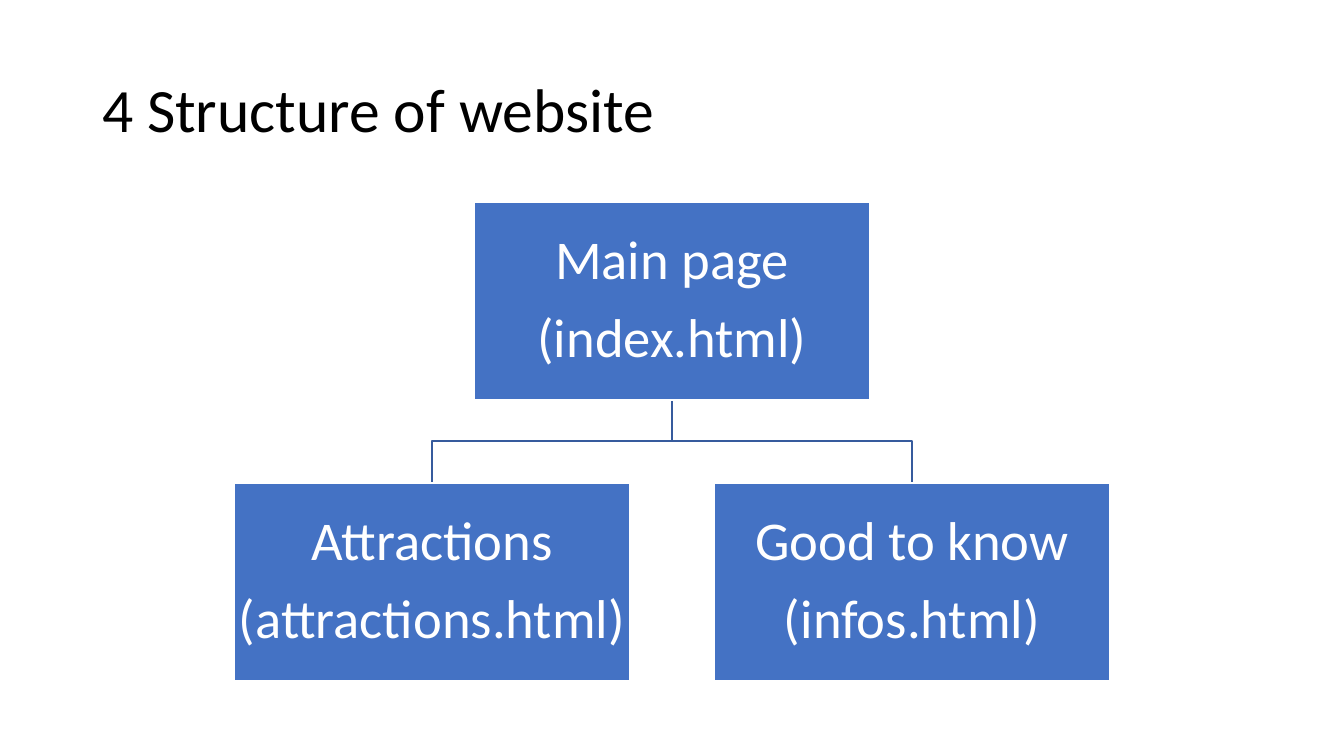
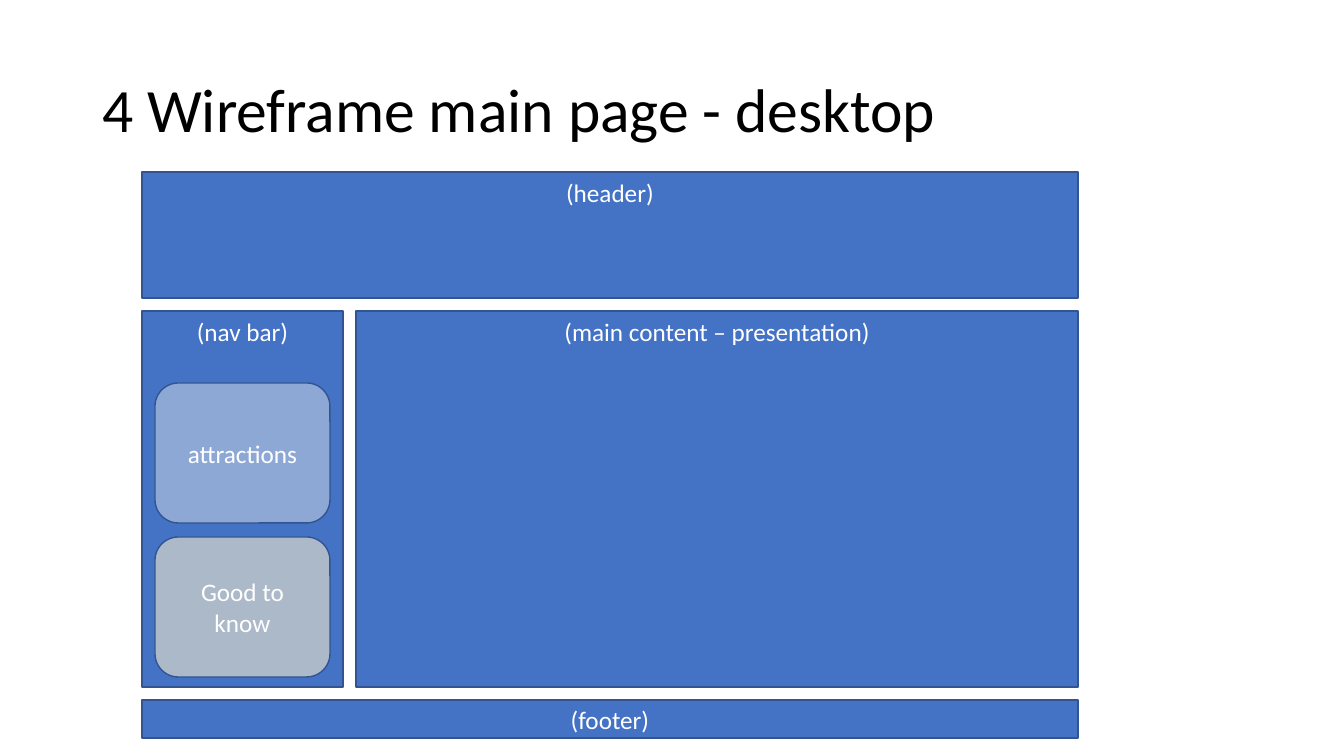
"""Build two slides: a website structure chart and a desktop wireframe."""

from dataclasses import dataclass
from typing import Any

from lxml import etree
from pptx import Presentation
from pptx.dml.color import RGBColor
from pptx.enum.shapes import MSO_SHAPE
from pptx.enum.text import MSO_ANCHOR, MSO_AUTO_SIZE, PP_ALIGN
from pptx.oxml.ns import qn
from pptx.util import Pt

RECTANGLE = MSO_SHAPE.RECTANGLE
ROUNDED = MSO_SHAPE.ROUNDED_RECTANGLE
TOP, MIDDLE = MSO_ANCHOR.TOP, MSO_ANCHOR.MIDDLE
LEFT, CENTER = PP_ALIGN.LEFT, PP_ALIGN.CENTER
NO_AUTOFIT = MSO_AUTO_SIZE.NONE
EMU_PER_PIXEL = 914400 / 100.8
TITLE_ONLY = 5


@dataclass(frozen=True)
class Theme:
    """Colours, font and type sizes of the deck."""

    font: str = "Calibri"
    ink: str = "000000"
    paper: str = "FFFFFF"
    blue: str = "4472C4"
    outline: str = "325491"
    link: str = "365B9D"
    light_gray: str = "EDEDED"
    cream: str = "FFF2CC"
    title_size: int = 44
    node_size: int = 39
    label_size: int = 18
    node_gap: float = 13.65
    tight: float = 0.9
    line_width: int = 1


@dataclass(frozen=True)
class Box:
    """A rectangle in whole pixels."""

    left: int
    top: int
    width: int
    height: int

    @property
    def right(self) -> int:
        """Return the right edge."""
        return self.left + self.width

    @property
    def bottom(self) -> int:
        """Return the lower edge."""
        return self.top + self.height

    @property
    def center(self) -> int:
        """Return the horizontal middle."""
        return self.left + self.width // 2


@dataclass(frozen=True)
class Node:
    """A page of the website in the structure chart."""

    name: str
    file: str
    box: Box


@dataclass(frozen=True)
class Region:
    """A labelled area of the wireframe."""

    label: str
    box: Box
    anchor: MSO_ANCHOR = TOP
    shape: MSO_SHAPE = RECTANGLE
    fill: str = "4472C4"
    opacity: int = 100


THEME = Theme()
TITLE_BOX = Box(92, 40, 1159, 146)

NODE_WIDTH, NODE_HEIGHT = 396, 198
ROOT_TOP, CHILD_TOP = 202, 483
CHART_CENTER, CHILD_OFFSET = 672, 240
NODE_INSET = 3

GAP = 13
HEADER = Box(142, 172, 936, 126)
NAV = Box(HEADER.left, HEADER.bottom + GAP, 201, 376)
MAIN_LEFT = NAV.right + GAP
MAIN = Box(MAIN_LEFT, NAV.top, HEADER.right - MAIN_LEFT, NAV.height)
FOOTER = Box(HEADER.left, NAV.bottom + GAP, HEADER.width, 38)
BUTTON_TOP, BUTTON_HEIGHT, BUTTON_GAP = 383, 140, 14


def px(pixels: int) -> int:
    """Turn pixels into EMU."""
    return round(pixels * EMU_PER_PIXEL)


def color(value: str) -> RGBColor:
    """Turn a hex string into a colour."""
    return RGBColor.from_string(value)


def node_box(center: int, top: int) -> Box:
    """Return the box of a chart node around a centre line."""
    return Box(center - NODE_WIDTH // 2, top, NODE_WIDTH, NODE_HEIGHT)


def button_box(row: int) -> Box:
    """Return the box of a button in the navigation bar."""
    top = BUTTON_TOP + row * (BUTTON_HEIGHT + BUTTON_GAP)
    return Box(NAV.left + GAP, top, NAV.width - 2 * GAP, BUTTON_HEIGHT)


ROOT = Node("Main page", "(index.html)", node_box(CHART_CENTER, ROOT_TOP))
CHILDREN = (
    Node("Attractions", "(attractions.html)",
         node_box(CHART_CENTER - CHILD_OFFSET, CHILD_TOP)),
    Node("Good to know", "(infos.html)",
         node_box(CHART_CENTER + CHILD_OFFSET, CHILD_TOP)),
)
REGIONS = (
    Region("(header)", HEADER),
    Region("(nav bar)", NAV),
    Region("(footer)", FOOTER, MIDDLE),
    Region("(main content – presentation)", MAIN),
    Region("attractions", button_box(0), MIDDLE, ROUNDED, THEME.light_gray, 44),
    Region("Good to know", button_box(1), MIDDLE, ROUNDED, THEME.cream, 56),
)


def style_paragraph(para: Any, size: int, ink: str, align: PP_ALIGN) -> None:
    """Set the font and alignment of a paragraph."""
    para.alignment = align
    para.font.name = THEME.font
    para.font.size = Pt(size)
    para.font.color.rgb = color(ink)


def style_line(shape: Any, ink: str) -> None:
    """Set the outline of a shape and drop its shadow."""
    shape.shadow.inherit = False
    shape.line.color.rgb = color(ink)
    shape.line.width = Pt(THEME.line_width)


def set_opacity(shape: Any, percent: int) -> None:
    """Make the solid fill of a shape partly transparent."""
    fill_color = shape.element.spPr.find(f"{qn('a:solidFill')}/{qn('a:srgbClr')}")
    etree.SubElement(fill_color, qn("a:alpha")).set("val", str(percent * 1000))


def add_page(deck: Any, title: str) -> Any:
    """Add a slide with its formatted title."""
    page = deck.slides.add_slide(deck.slide_layouts[TITLE_ONLY])
    holder = page.shapes.title
    holder.left, holder.top = px(TITLE_BOX.left), px(TITLE_BOX.top)
    holder.width, holder.height = px(TITLE_BOX.width), px(TITLE_BOX.height)
    frame = holder.text_frame
    frame.text = title
    frame.vertical_anchor = MIDDLE
    frame.auto_size = NO_AUTOFIT
    para = frame.paragraphs[0]
    style_paragraph(para, THEME.title_size, THEME.ink, LEFT)
    para.line_spacing = THEME.tight
    return page


def add_block(page: Any, kind: MSO_SHAPE, box: Box, fill: str, outline: str,
              text: str, size: int, anchor: MSO_ANCHOR) -> Any:
    """Add a filled shape with centred white text."""
    shape = page.shapes.add_shape(
        kind, px(box.left), px(box.top), px(box.width), px(box.height))
    shape.fill.solid()
    shape.fill.fore_color.rgb = color(fill)
    style_line(shape, outline)
    frame = shape.text_frame
    frame.word_wrap = True
    frame.vertical_anchor = anchor
    frame.text = text
    for para in frame.paragraphs:
        style_paragraph(para, size, THEME.paper, CENTER)
    return shape


def add_node(page: Any, node: Node) -> None:
    """Draw a node of the structure chart."""
    shape = add_block(page, RECTANGLE, node.box, THEME.blue, THEME.paper,
                      f"{node.name}\n{node.file}", THEME.node_size, MIDDLE)
    frame = shape.text_frame
    frame.margin_left = frame.margin_right = px(NODE_INSET)
    frame.margin_top = frame.margin_bottom = px(NODE_INSET)
    for para in frame.paragraphs:
        para.line_spacing = THEME.tight
        para.space_after = Pt(THEME.node_gap)


def add_elbow(page: Any, parent: Box, child: Box) -> None:
    """Draw the stepped line from a parent node to a child node."""
    bend = (parent.bottom + child.top) // 2
    builder = page.shapes.build_freeform(
        parent.center, parent.bottom, scale=EMU_PER_PIXEL)
    builder.add_line_segments(
        [(parent.center, bend), (child.center, bend), (child.center, child.top)],
        close=False)
    elbow = builder.convert_to_shape()
    elbow.fill.background()
    style_line(elbow, THEME.link)


def add_region(page: Any, region: Region) -> None:
    """Draw an area of the wireframe."""
    shape = add_block(page, region.shape, region.box, region.fill, THEME.outline,
                      region.label, THEME.label_size, region.anchor)
    if region.opacity < 100:
        set_opacity(shape, region.opacity)


def build_structure(deck: Any) -> None:
    """Build the website structure slide."""
    page = add_page(deck, "4 Structure of website")
    for child in CHILDREN:
        add_elbow(page, ROOT.box, child.box)
    for node in (ROOT, *CHILDREN):
        add_node(page, node)


def build_wireframe(deck: Any) -> None:
    """Build the desktop wireframe slide."""
    page = add_page(deck, "4 Wireframe main page - desktop")
    for region in REGIONS:
        add_region(page, region)


def main() -> None:
    """Build and save the deck."""
    deck = Presentation()
    deck.slide_width, deck.slide_height = px(1344), px(756)
    build_structure(deck)
    build_wireframe(deck)
    deck.save("out.pptx")


main()
